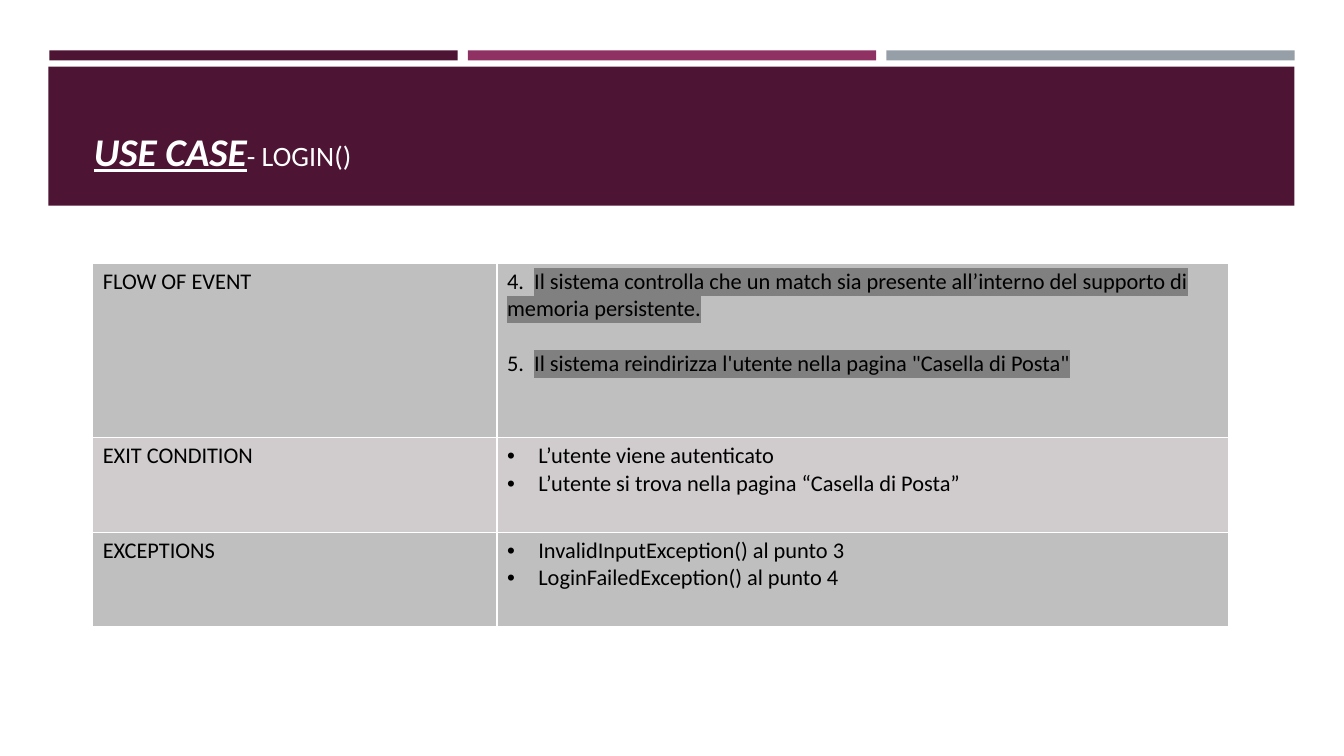
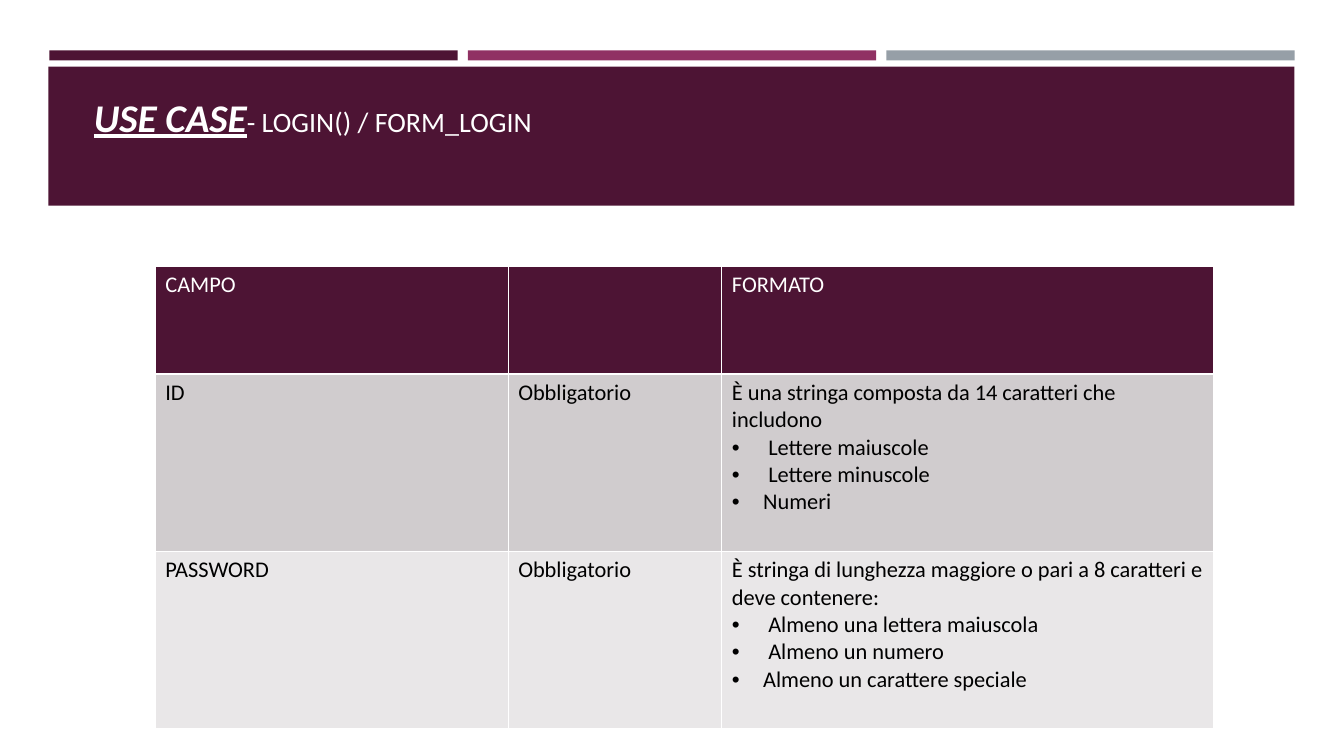
"""Builds two use case slides: the login flow and the login form fields."""
from dataclasses import dataclass

from lxml import etree
from pptx import Presentation
from pptx.dml.color import RGBColor
from pptx.enum import shapes, text
from pptx.oxml import ns
from pptx.util import Inches, Pt


@dataclass(frozen=True)
class Theme:
    plum: str = "4D1434"
    magenta: str = "903163"
    slate: str = "969FA7"
    white: str = "FFFFFF"
    black: str = "000000"
    silver: str = "BFBFBF"
    ash: str = "D0CCCE"
    mist: str = "E9E7E8"
    marker: str = "808080"
    font: str = "Calibri"
    heading: int = 28
    subject: int = 20
    body: int = 16


theme = Theme()


def write(paragraph, words, size=theme.body, color=theme.black, strong=False, highlight=None):
    run = paragraph.add_run()
    run.text = words
    font = run.font
    font.name, font.size = theme.font, Pt(size)
    font.bold = font.italic = font.underline = strong
    font.color.rgb = RGBColor.from_string(color)
    if highlight:
        marker = etree.Element(ns.qn("a:highlight"))
        etree.SubElement(marker, ns.qn("a:srgbClr"), val=highlight)
        run._r.rPr.find(ns.qn("a:solidFill")).addnext(marker)


def write_line(paragraph, line, color):
    if isinstance(line, tuple):
        number, step = line
        write(paragraph, number, color=color)
        write(paragraph, step, color=color, highlight=theme.marker)
        return
    if line.startswith("•"):
        indent = Inches(0.31)
        properties = paragraph._p.get_or_add_pPr()
        properties.set("marL", str(indent))
        properties.set("indent", str(-indent))
        etree.SubElement(properties, ns.qn("a:buFont"), typeface="Arial")
        etree.SubElement(properties, ns.qn("a:buChar"), char="•")
    write(paragraph, line.removeprefix("•"), color=color)


prs = Presentation()
prs.slide_width, prs.slide_height = Inches(13.33), Inches(7.5)
layout = prs.slide_layouts.get_by_name("Title Only")
heading = layout.placeholders[0]
heading.left, heading.top = Inches(0.83), Inches(0.28)
heading.width, heading.height = Inches(11.12), Inches(1.95)

pages = [
    {
        "subject": "- LOGIN()",
        "title_margin": 0.5,
        "origin": (0.92, 2.61),
        "columns": (4.01, 7.26),
        "rows": (1.73, 0.94, 0.94),
        "fills": (theme.silver, theme.ash, theme.silver),
        "inks": (theme.black,) * 3,
        "cells": [
            [["FLOW OF EVENT"], [
                ("4.  ", "Il sistema controlla che un match sia presente all’interno "
                         "del supporto di memoria persistente."),
                ("5.  ", "Il sistema reindirizza l'utente nella pagina \"Casella di Posta\""),
            ]],
            [["EXIT CONDITION"], [
                "•L’utente viene autenticato",
                "•L’utente si trova nella pagina “Casella di Posta”",
            ]],
            [["EXCEPTIONS"], [
                "•InvalidInputException() al punto 3",
                "•LoginFailedException() al punto 4",
            ]],
        ],
    },
    {
        "subject": "- LOGIN() / FORM_LOGIN",
        "title_margin": 0.84,
        "origin": (1.54, 2.64),
        "columns": (3.5, 2.12, 4.88),
        "rows": (1.07, 1.76, 1.76),
        "fills": (theme.plum, theme.ash, theme.mist),
        "inks": (theme.white, theme.black, theme.black),
        "cells": [
            [["CAMPO"], [], ["FORMATO"]],
            [["ID"], ["Obbligatorio"], [
                "È una stringa composta da 14 caratteri che includono",
                "• Lettere maiuscole",
                "• Lettere minuscole",
                "•Numeri",
            ]],
            [["PASSWORD"], ["Obbligatorio"], [
                "È stringa di lunghezza maggiore o pari a 8 caratteri e deve contenere:",
                "• Almeno una lettera maiuscola",
                "• Almeno un numero",
                "•Almeno un carattere speciale",
            ]],
        ],
    },
]

for page in pages:
    slide = prs.slides.add_slide(layout)
    title = slide.shapes.title.text_frame
    title.auto_size = text.MSO_AUTO_SIZE.NONE
    title.vertical_anchor = text.MSO_ANCHOR.BOTTOM
    title.margin_bottom = Inches(page["title_margin"])
    caption = title.paragraphs[0]
    caption.alignment = text.PP_ALIGN.LEFT
    write(caption, "USE CASE", size=theme.heading, color=theme.white, strong=True)
    write(caption, page["subject"], size=theme.subject, color=theme.white)

    left, top = page["origin"]
    widths, heights = page["columns"], page["rows"]
    grid = slide.shapes.add_table(
        len(heights), len(widths), Inches(left), Inches(top),
        Inches(sum(widths)), Inches(sum(heights))).table
    grid.horz_banding = False
    for column, width in zip(grid.columns, widths):
        column.width = Inches(width)
    for row, height, fill, ink, contents in zip(
            grid.rows, heights, page["fills"], page["inks"], page["cells"]):
        row.height = Inches(height)
        for cell, lines in zip(row.cells, contents):
            cell.fill.solid()
            cell.fill.fore_color.rgb = RGBColor.from_string(fill)
            for index, line in enumerate(lines):
                frame = cell.text_frame
                paragraph = frame.add_paragraph() if index else frame.paragraphs[0]
                if index and isinstance(line, tuple):
                    paragraph.space_before = Pt(19.5)
                write_line(paragraph, line, ink)

bands = [(0.49 + 4.15 * index, 0.5, 4.05, 0.1, color)
         for index, color in enumerate((theme.plum, theme.magenta, theme.slate))]
bands.append((0.48, 0.66, 12.36, 1.38, theme.plum))
for index, (*box, color) in enumerate(bands):
    band = slide.shapes.add_shape(shapes.MSO_SHAPE.RECTANGLE, *map(Inches, box))
    band.shadow.inherit = False
    band.fill.solid()
    band.fill.fore_color.rgb = RGBColor.from_string(color)
    band.line.fill.background()
    band.element.nvSpPr.cNvPr.id = 100 + index
    layout.shapes.element.insert(2 + index, band.element)

prs.save("out.pptx")
